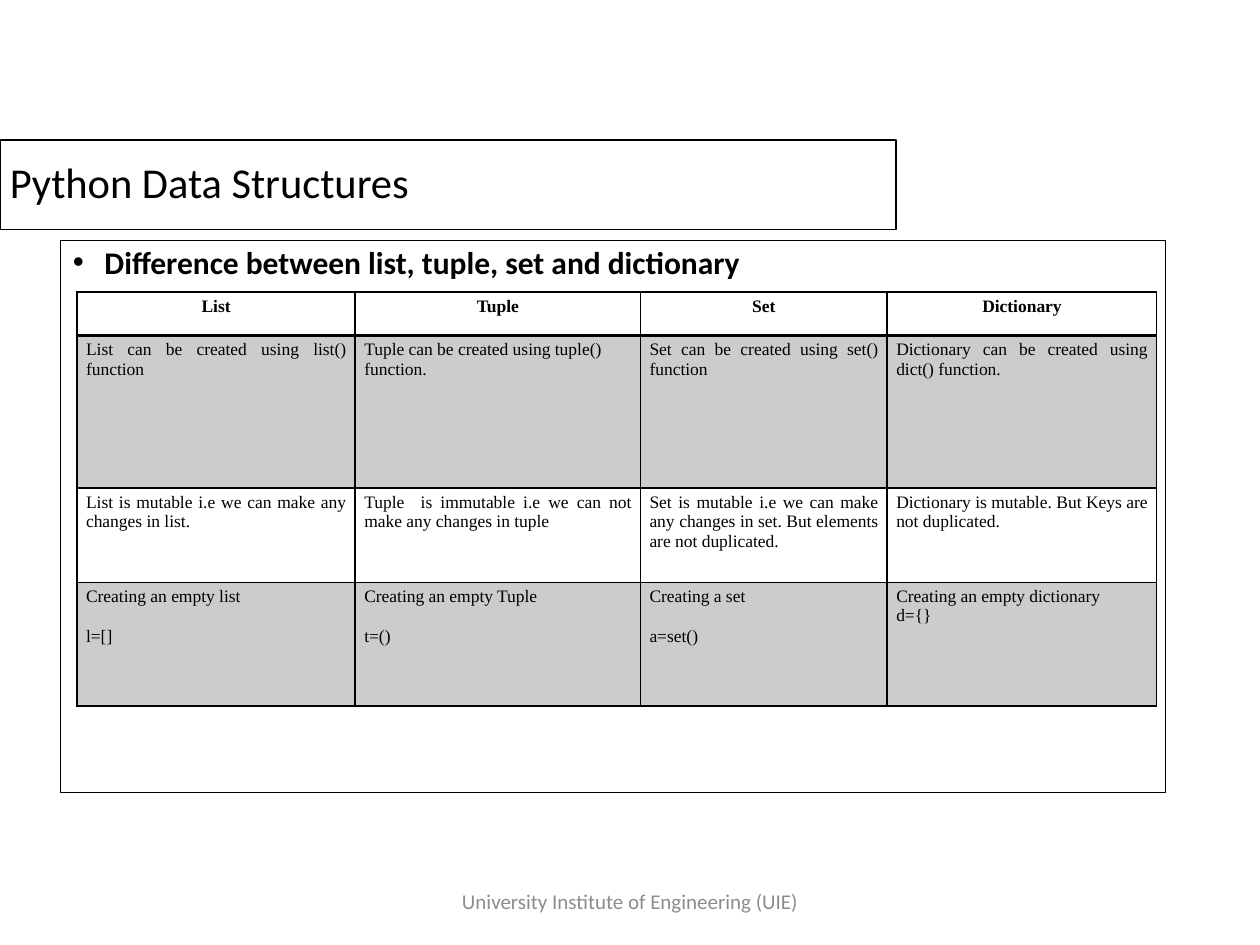
from lxml.etree import SubElement
from pptx import Presentation
from pptx.dml.color import RGBColor
from pptx.enum.text import MSO_ANCHOR, MSO_AUTO_SIZE, PP_ALIGN
from pptx.oxml.ns import qn
from pptx.util import Pt

BLACK = RGBColor(0x00, 0x00, 0x00)
GRAY = RGBColor(0x8C, 0x8C, 0x8C)

TITLE_BOX = (Pt(0), Pt(80), Pt(512), Pt(51))
BODY_BOX = (Pt(34.5), Pt(137.5), Pt(631.5), Pt(315.5))
FOOTER_BOX = (Pt(238.5), Pt(500.5), Pt(243), Pt(29))

HEADERS = ["List", "Tuple", "Set", "Dictionary"]
ROWS = [
    ["List can be created using list() function",
     "Tuple can be created using tuple() function.",
     "Set can be created using set() function",
     "Dictionary can be created using dict() function."],
    ["List is mutable i.e we can make any changes in list.",
     "Tuple  is immutable i.e we can not make any changes in tuple",
     "Set is mutable i.e we can make any changes in set. But elements are not duplicated.",
     "Dictionary is mutable. But Keys are not duplicated."],
    ["Creating an empty list\nl=[]",
     "Creating an empty Tuple\nt=()",
     "Creating a set\na=set()",
     "Creating an empty dictionary\nd={}"],
]
COLUMN_WIDTHS = [Pt(159), Pt(163), Pt(141), Pt(154)]
ROW_HEIGHTS = [Pt(24.8), Pt(87.2), Pt(53.8), Pt(70.6)]
CODE_GAP = Pt(11.5)

CELL_FORMAT = {"margin_left": Pt(5.2), "margin_right": Pt(5.2),
               "margin_top": Pt(2.8), "margin_bottom": Pt(2.8),
               "vertical_anchor": MSO_ANCHOR.TOP}
TITLE_FRAME = {"margin_left": Pt(5.6), "margin_right": Pt(5.6),
               "margin_top": Pt(2.8), "margin_bottom": Pt(2.8),
               "vertical_anchor": MSO_ANCHOR.MIDDLE,
               "word_wrap": True, "auto_size": MSO_AUTO_SIZE.NONE}
BODY_FRAME = {"vertical_anchor": MSO_ANCHOR.TOP,
              "word_wrap": True, "auto_size": MSO_AUTO_SIZE.NONE}
FOOTER_FRAME = {"vertical_anchor": MSO_ANCHOR.MIDDLE, "word_wrap": True}


def set_attributes(target, values):
    for name, value in values.items():
        setattr(target, name, value)


def set_font(paragraph, name, size, bold=False, color=BLACK):
    set_attributes(paragraph.font, {"name": name, "size": Pt(size), "bold": bold})
    paragraph.font.color.rgb = color


def place(shape, box):
    set_attributes(shape, dict(zip(("left", "top", "width", "height"), box)))


def outline(shape):
    shape.line.color.rgb = BLACK
    shape.line.width = Pt(0.75)


def add_title(slide, box):
    title = slide.shapes.title
    place(title, box)
    outline(title)
    set_attributes(title.text_frame, TITLE_FRAME)
    paragraph = title.text_frame.paragraphs[0]
    paragraph.text = "Python Data Structures"
    set_attributes(paragraph, {"alignment": PP_ALIGN.LEFT, "line_spacing": 0.9})
    set_font(paragraph, "Calibri", 24.3)


def add_body(slide, box):
    body = slide.placeholders[1]
    place(body, box)
    outline(body)
    set_attributes(body.text_frame, BODY_FRAME)
    paragraph = body.text_frame.paragraphs[0]
    paragraph.text = "Difference between list, tuple, set and dictionary"
    properties = paragraph._p.get_or_add_pPr()
    properties.set("marL", str(Pt(18)))
    properties.set("indent", str(-Pt(18)))
    SubElement(properties, qn("a:buChar"), char="•")
    set_attributes(paragraph, {"space_before": Pt(0), "line_spacing": 0.9})
    set_font(paragraph, "Calibri", 18, bold=True)


def add_footer(slide, box):
    footer = slide.shapes.add_textbox(*box)
    set_attributes(footer.text_frame, FOOTER_FRAME)
    paragraph = footer.text_frame.paragraphs[0]
    paragraph.text = "University Institute of Engineering (UIE)"
    paragraph.alignment = PP_ALIGN.CENTER
    set_font(paragraph, "Calibri", 12, color=GRAY)


def set_borders(cell, widths):
    """Draw black borders, given in points by side letter (L, R, T, B)."""
    properties = cell._tc.get_or_add_tcPr()
    for side, width in widths.items():
        line = SubElement(properties, qn(f"a:ln{side}"), w=str(Pt(width)))
        fill = SubElement(line, qn("a:solidFill"))
        SubElement(fill, qn("a:srgbClr"), val=str(BLACK))


def shade(cell):
    """Fill the cell with black at 20 % opacity."""
    cell.fill.solid()
    cell.fill.fore_color.rgb = BLACK
    color = cell._tc.tcPr.find(qn("a:solidFill")).find(qn("a:srgbClr"))
    SubElement(color, qn("a:alpha"), val="20000")


def fill_cell(cell, text, row, column):
    set_attributes(cell, CELL_FORMAT)
    set_borders(cell, {"L": 1, "R": 1, "T": 2 if row == 1 else 1,
                       "B": 2 if row == 0 else 1})
    if row % 2:
        shade(cell)
    else:
        cell.fill.background()
    cell.text = text
    alignment = PP_ALIGN.CENTER if row == 0 else PP_ALIGN.JUSTIFY
    if (row, column) == (1, 1):
        alignment = PP_ALIGN.LEFT
    for index, paragraph in enumerate(cell.text_frame.paragraphs):
        paragraph.alignment = alignment
        if index and column < len(HEADERS) - 1:
            paragraph.space_before = CODE_GAP
        set_font(paragraph, "Times New Roman", 10, bold=row == 0)


def add_comparison_table(slide, box):
    """Place the table inside the body box, below its heading."""
    left, top = box[:2]
    rows = [HEADERS, *ROWS]
    table = slide.shapes.add_table(
        len(rows), len(HEADERS), left + Pt(9.5), top + Pt(29.5),
        sum(COLUMN_WIDTHS), sum(ROW_HEIGHTS)).table
    set_attributes(table, {"first_row": False, "horz_banding": False})
    for column, width in zip(table.columns, COLUMN_WIDTHS):
        column.width = width
    for row, height in zip(table.rows, ROW_HEIGHTS):
        row.height = height
    for row, texts in enumerate(rows):
        for column, text in enumerate(texts):
            fill_cell(table.cell(row, column), text, row, column)


def main():
    presentation = Presentation()
    set_attributes(presentation, {"slide_width": Pt(720), "slide_height": Pt(540)})
    slide = presentation.slides.add_slide(presentation.slide_layouts[1])
    add_title(slide, TITLE_BOX)
    add_body(slide, BODY_BOX)
    add_footer(slide, FOOTER_BOX)
    add_comparison_table(slide, BODY_BOX)
    presentation.save("out.pptx")


if __name__ == "__main__":
    main()
